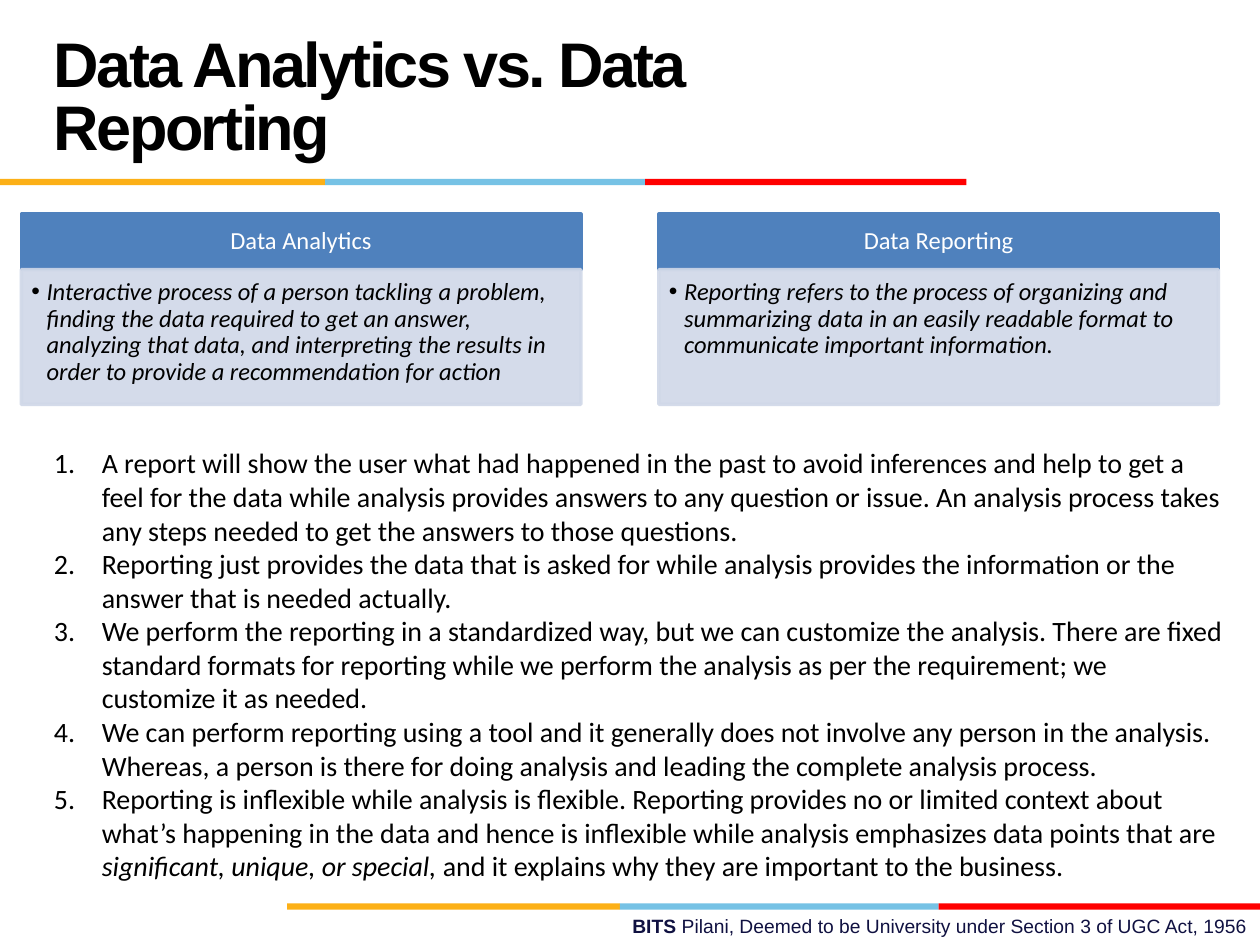
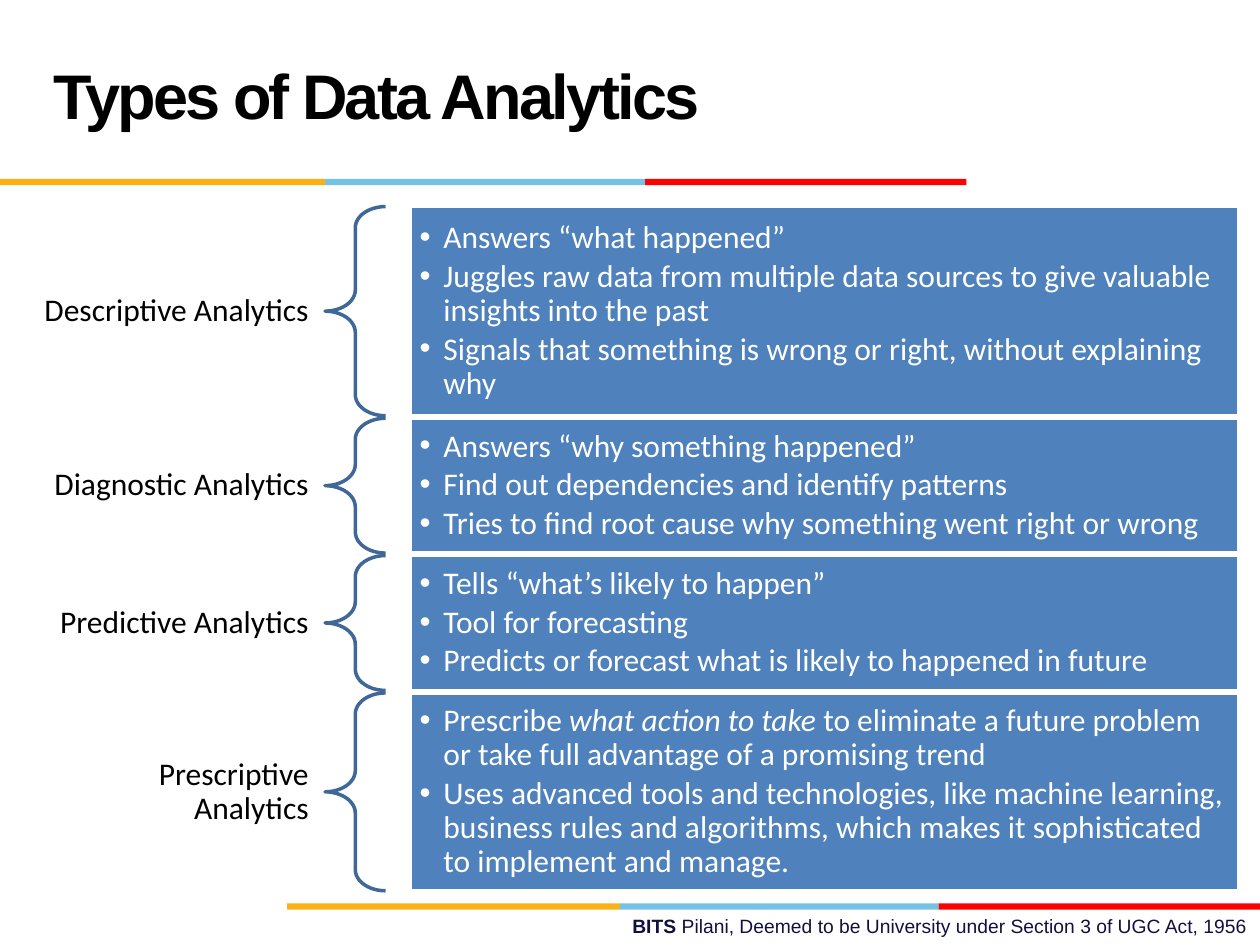
from lxml.etree import SubElement
from pptx import Presentation
from pptx.dml.color import RGBColor
from pptx.enum.shapes import MSO_SHAPE
from pptx.enum.text import MSO_ANCHOR, PP_ALIGN
from pptx.oxml.ns import qn
from pptx.util import Inches, Pt

COLORS = {
    "black": "000000", "white": "FFFFFF", "navy": "101141",
    "gold": "FCB017", "sky": "76C2E5", "red": "FF0000",
    "blue": "4F81BD", "pale": "D0D8E8", "brace": "3F6797",
}

# Text between asterisks is emphasised.
FOOTER = "*BITS *Pilani, Deemed to be University under Section 3 of UGC Act, 1956"
TITLE_BANDS = (1.42, [("gold", 0, 2.58), ("sky", 2.58, 5.12), ("red", 5.12, 7.67)])
FOOTER_BANDS = (7.17, [("gold", 2.28, 4.92), ("sky", 4.92, 7.45), ("red", 7.45, 10)])

COMPARISON_TITLE = "Data Analytics vs. Data Reporting"
DEFINITIONS = [
    ("Data Analytics",
     "*Interactive process of a person tackling a problem, finding the data required "
     "to get an answer, analyzing that data, and interpreting the results in order to "
     "provide a recommendation for action*"),
    ("Data Reporting",
     "*Reporting refers to the process of organizing and summarizing data in an easily "
     "readable format to communicate important information.*"),
]
DIFFERENCES = [
    "A report will show the user what had happened in the past to avoid inferences and "
    "help to get a feel for the data while analysis provides answers to any question or "
    "issue. An analysis process takes any steps needed to get the answers to those "
    "questions.",
    "Reporting just provides the data that is asked for while analysis provides the "
    "information or the answer that is needed actually.",
    "We perform the reporting in a standardized way, but we can customize the analysis. "
    "There are fixed standard formats for reporting while we perform the analysis as per "
    "the requirement; we customize it as needed.",
    "We can perform reporting using a tool and it generally does not involve any person "
    "in the analysis. Whereas, a person is there for doing analysis and leading the "
    "complete analysis process.",
    "Reporting is inflexible while analysis is flexible. Reporting provides no or limited "
    "context about what’s happening in the data and hence is inflexible while analysis "
    "emphasizes data points that are* significant, unique, or special,* and it explains "
    "why they are important to the business.",
]

TYPES_TITLE = "Types of Data Analytics"
# Name, lines the name takes, row height, points
TYPES = [
    ("Descriptive Analytics", 1, 1.66, [
        "Answers “what happened”",
        "Juggles raw data from multiple data sources to give valuable insights into the past",
        "Signals that something is wrong or right, without explaining why"]),
    ("Diagnostic Analytics", 1, 1.07, [
        "Answers “why something happened”",
        "Find out dependencies and identify patterns",
        "Tries to find root cause why something went right or wrong"]),
    ("Predictive Analytics", 1, 1.07, [
        "Tells “what’s likely to happen”",
        "Tool for forecasting",
        "Predicts or forecast what is likely to happened in future"]),
    ("Prescriptive Analytics", 2, 1.57, [
        "Prescribe *what action to take* to eliminate a future problem or take full "
        "advantage of a promising trend",
        "Uses advanced tools and technologies, like machine learning, business rules and "
        "algorithms, which makes it sophisticated to implement and manage."]),
]


def rgb(name):
    return RGBColor.from_string(COLORS[name])


def add_box(slide, box, fill=None, line=None, shape=MSO_SHAPE.RECTANGLE):
    sp = slide.shapes.add_shape(shape, *map(Inches, box))
    sp.shadow.inherit = False
    if fill:
        sp.fill.solid()
        sp.fill.fore_color.rgb = rgb(fill)
    else:
        sp.fill.background()
    if line:
        sp.line.color.rgb = rgb(line)
        sp.line.width = Pt(2)
    else:
        sp.line.fill.background()
    return sp


def add_textbox(slide, box):
    return slide.shapes.add_textbox(*map(Inches, box))


def set_opacity(sp, percent):
    for color in sp._element.spPr.iter(qn("a:srgbClr")):
        SubElement(color, qn("a:alpha"), val=str(percent * 1000))


def add_marker(p, indent, marker):
    """Give a paragraph a hanging bullet, or a number when marker is "1."."""
    pPr = p._p.get_or_add_pPr()
    pPr.set("marL", str(Inches(indent)))
    pPr.set("indent", str(-Inches(indent)))
    if marker == "1.":
        SubElement(pPr, qn("a:buFont"), typeface="+mj-lt")
        SubElement(pPr, qn("a:buAutoNum"), type="arabicPeriod")
    else:
        SubElement(pPr, qn("a:buFont"), typeface="Arial")
        SubElement(pPr, qn("a:buChar"), char=marker)


def write(sp, paragraphs, size, color="black", font="Calibri", align=PP_ALIGN.LEFT,
          anchor=MSO_ANCHOR.TOP, insets=(0.1, 0.05, 0.1, 0.05), marker=None, indent=0,
          spacing=None, after=0, emphasis="italic", bold=False, tracking=None):
    """Fill a shape with text; after is the space below as a share of the size."""
    tf = sp.text_frame
    tf.word_wrap = True
    tf.vertical_anchor = anchor
    (tf.margin_left, tf.margin_top,
     tf.margin_right, tf.margin_bottom) = map(Inches, insets)
    for i, text in enumerate(paragraphs):
        p = tf.add_paragraph() if i else tf.paragraphs[0]
        if marker:
            add_marker(p, indent, marker)
        p.alignment = align
        p.line_spacing = spacing
        p.space_after = Pt(size * after)
        for j, part in enumerate(text.split("*")):
            if not part:
                continue
            r = p.add_run()
            r.text = part
            r.font.name, r.font.size, r.font.bold = font, Pt(size), bold
            r.font.color.rgb = rgb(color)
            if j % 2:
                setattr(r.font, emphasis, True)
            if tracking:
                r._r.get_or_add_rPr().set("spc", str(round(tracking * 100)))


def add_base(prs, title):
    """Start a slide with its footer, colour bands and title."""
    slide = prs.slides.add_slide(prs.slide_layouts[6])
    write(add_textbox(slide, (3.58, 7.21, 6.42, 0.29)), [FOOTER], 11, "navy", "Arial",
          PP_ALIGN.RIGHT, emphasis="bold")
    for top, bands in (FOOTER_BANDS, TITLE_BANDS):
        for color, left, right in bands:
            add_box(slide, (left, top, right - left, 0.05), color)
    write(add_textbox(slide, (0.33, 0.17, 6.92, 1.25)), [title], 36, font="Arial",
          anchor=MSO_ANCHOR.MIDDLE, spacing=Pt(36), bold=True, tracking=-1.5)
    return slide


def build_comparison(prs):
    slide = add_base(prs, COMPARISON_TITLE)
    width, pitch, top, head_h, body_h = 4.44, 5.06, 1.7, 0.44, 1.07
    for i, (name, meaning) in enumerate(DEFINITIONS):
        left = 0.17 + i * pitch
        head = add_box(slide, (left, top, width, head_h), "blue", "blue")
        write(head, [name], 14, "white", align=PP_ALIGN.CENTER,
              anchor=MSO_ANCHOR.MIDDLE, insets=(0.11, 0.06, 0.11, 0.06), spacing=0.9)
        body = add_box(slide, (left, top + head_h, width, body_h), "pale", "pale")
        set_opacity(body, 90)
        write(body, [meaning], 14, insets=(0.08, 0.08, 0.11, 0.12), marker="•",
              indent=0.12, spacing=0.9, after=0.15)
    write(add_textbox(slide, (0.33, 3.49, 9.5, 3.9)), DIFFERENCES, 16,
          marker="1.", indent=0.38)


def build_types(prs):
    slide = add_base(prs, TYPES_TITLE)
    top, gap = 1.64, 0.02
    for name, lines, height, points in TYPES:
        label_h = 0.1 + 0.28 * lines
        label = add_textbox(slide, (0.17, top + (height - label_h) / 2, 2.42, label_h))
        write(label, [name], 18, align=PP_ALIGN.RIGHT, anchor=MSO_ANCHOR.MIDDLE,
              insets=(0.14, 0.05, 0.14, 0.05), spacing=0.9)
        brace = add_box(slide, (2.58, top, 0.48, height), line="brace",
                        shape=MSO_SHAPE.LEFT_BRACE)
        brace.adjustments[0] = 0.35
        panel = add_box(slide, (3.26, top, 6.57, height), "blue", "white")
        write(panel, points, 18, "white", anchor=MSO_ANCHOR.MIDDLE, insets=(0.07,) * 4,
              marker="•", indent=0.19, spacing=0.9, after=0.15)
        top += height + gap


def main():
    prs = Presentation()
    prs.slide_width, prs.slide_height = Inches(10), Inches(7.5)
    build_comparison(prs)
    build_types(prs)
    prs.save("out.pptx")


if __name__ == "__main__":
    main()
